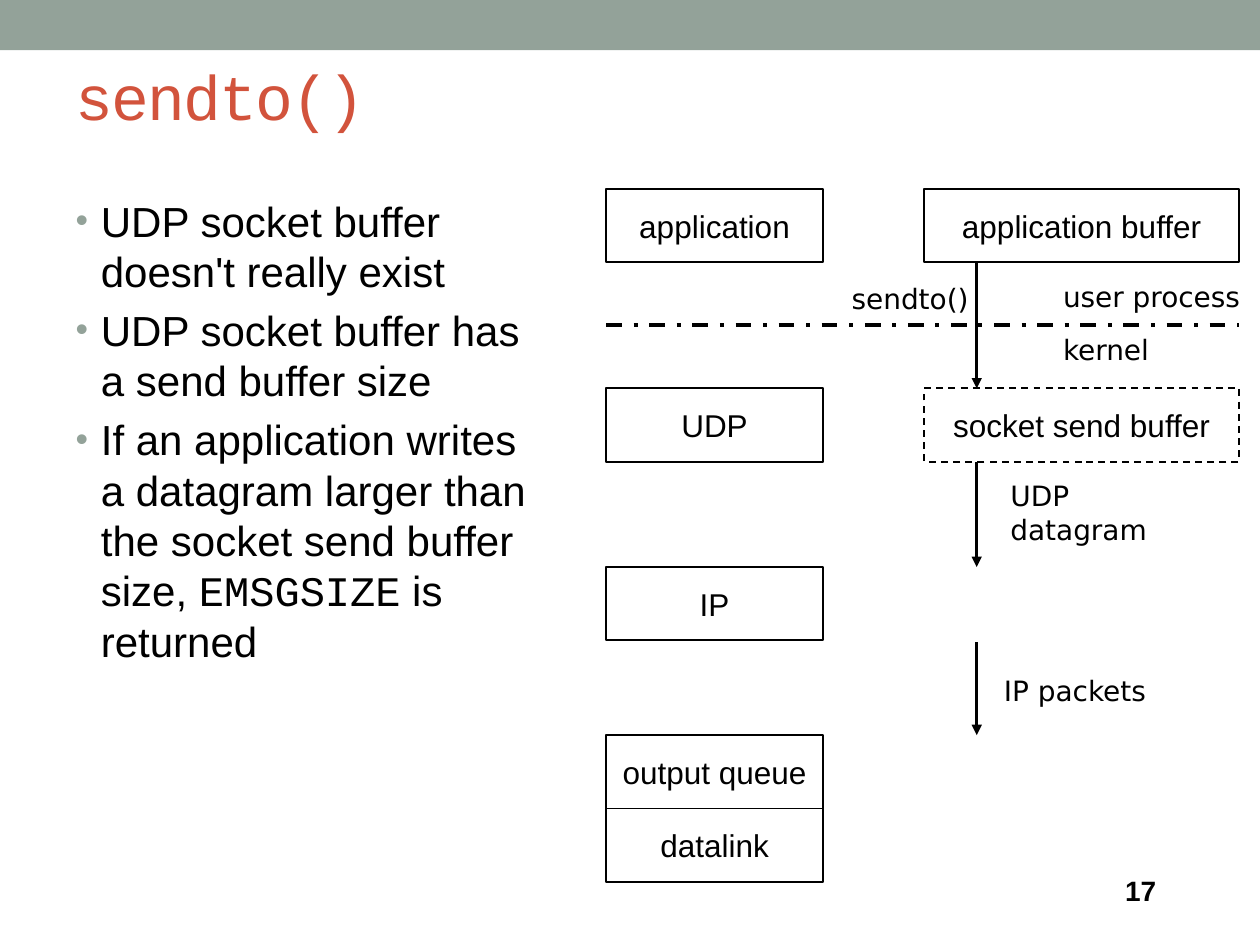
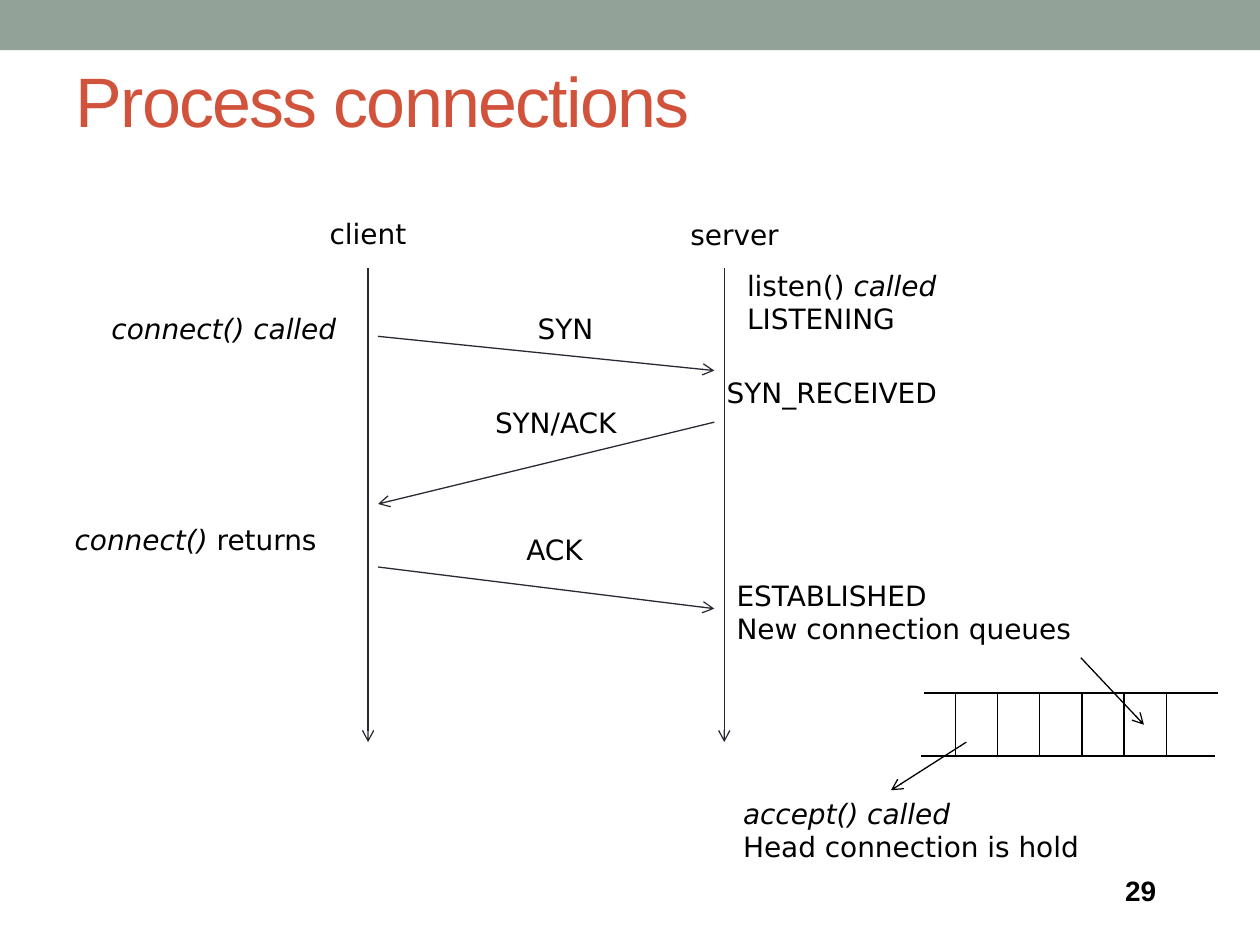
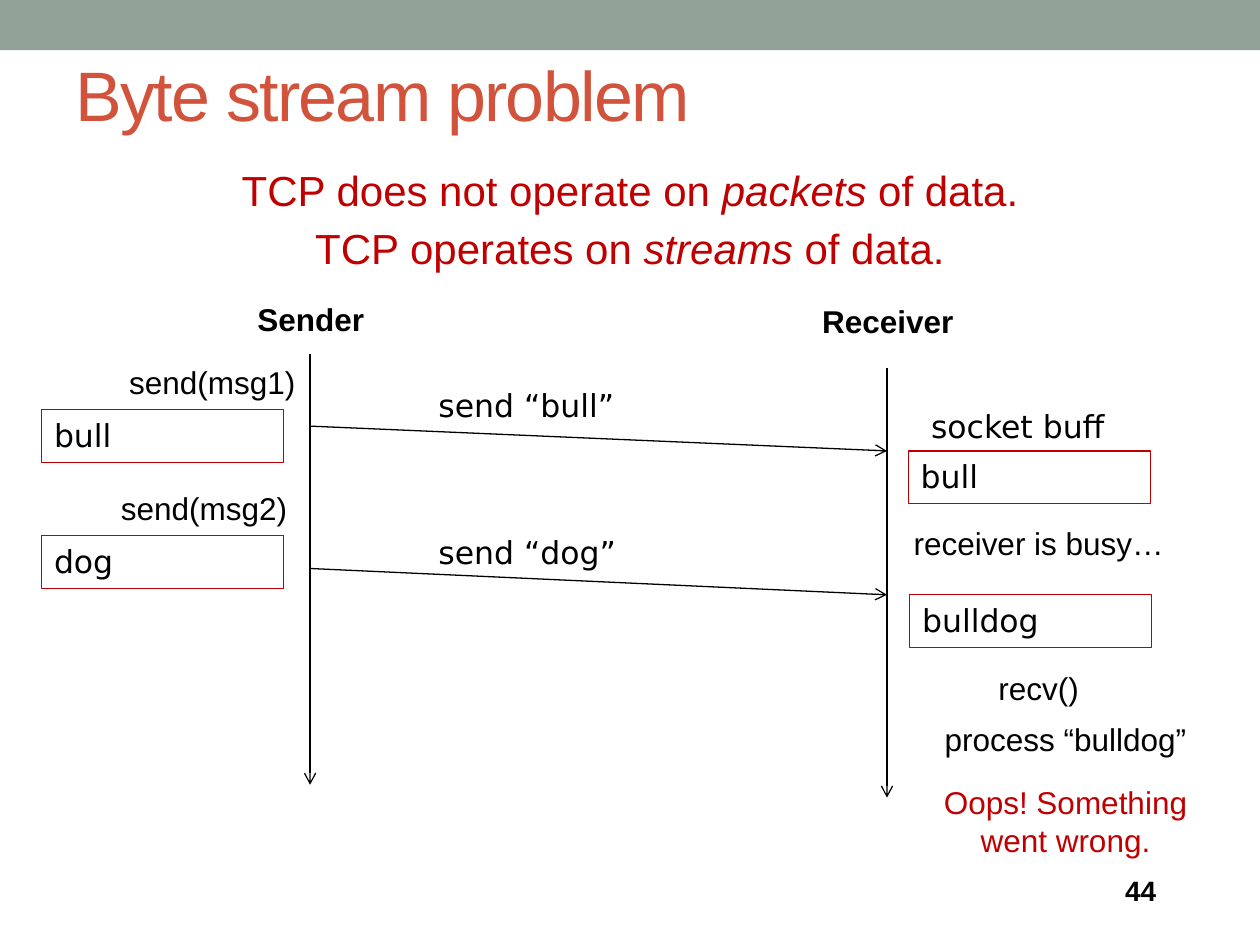
from lxml import etree
from pptx import Presentation
from pptx import util as u
from pptx.dml.color import RGBColor
from pptx.enum import dml, shapes, text
from pptx.oxml.ns import qn

COLORS = {"band": "93A299", "title": "D2533C", "black": "000000",
          "slate": "292934", "red": "C00000"}
SANS, MONO, LABEL = "Arial", "Courier New", "DejaVu Sans"
LEFT, CENTER = text.PP_ALIGN.LEFT, text.PP_ALIGN.CENTER
TOP, MIDDLE = text.MSO_ANCHOR.TOP, text.MSO_ANCHOR.MIDDLE
ONE_LINE, TWO_LINES = 0.94, 1.63


def write(sp, box, lines, size=16, font=LABEL, color="black", align=LEFT,
          anchor=TOP, bold=False, marked_font=None, gap=0):
    """Place sp at box (cm) and fill it; *marked* parts are italic or in marked_font."""
    sp.left, sp.top, sp.width, sp.height = map(u.Cm, box)
    tf = sp.text_frame
    tf.word_wrap = True
    tf.auto_size = text.MSO_AUTO_SIZE.NONE
    tf.vertical_anchor = anchor
    for i, line in enumerate(lines.split("\n")):
        p = tf.add_paragraph() if i else tf.paragraphs[0]
        p.alignment = align
        p.space_before = u.Pt(gap if i else 0)
        for j, part in enumerate(line.split("*")):
            if not part:
                continue
            marked = j % 2 == 1
            r = p.add_run()
            r.text = part
            r.font.size = u.Pt(size)
            r.font.name = marked_font if marked and marked_font else font
            r.font.bold = bold
            r.font.italic = marked and not marked_font
            r.font.color.rgb = RGBColor.from_string(COLORS[color])
    return tf


def add_line(s, x1, y1, x2, y2, width=0.75, color="black", head=None, dash=None):
    c = s.shapes.add_connector(shapes.MSO_CONNECTOR.STRAIGHT,
                               *map(u.Cm, (x1, y1, x2, y2)))
    c.line.color.rgb = RGBColor.from_string(COLORS[color])
    c.line.width = u.Pt(width)
    if dash:
        c.line.dash_style = dash
    spPr = c.element.spPr
    if head:
        etree.SubElement(spPr.find(qn("a:ln")), qn("a:tailEnd"), type=head)
    etree.SubElement(spPr, qn("a:effectLst"))


prs = Presentation()
prs.slide_width, prs.slide_height = u.Cm(25.4), u.Cm(19.05)

# Shared frame: band, title and page number
slides = []
for layout, title, top, height, size, font, number in [
    (1, "sendto()", 1.07, 1.7, 36, MONO, "17"),
    (5, "Process connections", 0.64, 2.74, 40, SANS, "29"),
    (1, "Byte stream problem", 0.84, 2.11, 40, SANS, "44"),
]:
    s = prs.slides.add_slide(prs.slide_layouts[layout])
    band = s.shapes.add_shape(shapes.MSO_SHAPE.RECTANGLE, 0, 0, prs.slide_width, u.Cm(1.01))
    band.shadow.inherit = False
    band.fill.solid()
    band.fill.fore_color.rgb = RGBColor.from_string(COLORS["band"])
    band.line.fill.background()
    tf = write(s.shapes.title, (1.27, top, 22.86, height), title, size, font,
               "title", anchor=MIDDLE)
    tf.paragraphs[0].runs[0].font._element.set("spc", "-100")
    write(s.shapes.add_textbox(0, 0, 0, 0), (22.43, 17.5, 2.11, 0.91), number,
          16, SANS, anchor=MIDDLE, bold=True)
    slides.append(s)
sendto, handshake, stream = slides

# sendto(): bullets
s = sendto
tf = write(s.placeholders[1], (1.27, 3.81, 9.96, 14.17),
           "UDP socket buffer doesn't really exist\n"
           "UDP socket buffer has a send buffer size\n"
           "If an application writes a datagram larger than the socket send buffer size, "
           "*EMSGSIZE* is returned",
           24, SANS, marked_font=MONO, gap=4.8)
for p in tf.paragraphs:
    pPr = p._p.get_or_add_pPr()
    pPr.set("marL", str(u.Cm(0.51)))
    pPr.set("indent", str(u.Cm(-0.51)))
    buClr = etree.SubElement(pPr, qn("a:buClr"))
    etree.SubElement(buClr, qn("a:srgbClr"), val=COLORS["band"])
    etree.SubElement(pPr, qn("a:buSzPct"), val="85000")
    etree.SubElement(pPr, qn("a:buFont"), typeface=SANS)
    etree.SubElement(pPr, qn("a:buChar"), char="•")

# sendto(): layers on the left, buffers on the right
layer_x, layer_w, buffer_x, buffer_w, box_h = 12.22, 4.37, 18.63, 6.35, 1.48
app_y, udp_y, ip_y, queue_y = 3.81, 7.83, 11.43, 14.82
for x, y, w, name, dash in [
    (layer_x, app_y, layer_w, "application", None),
    (layer_x, udp_y, layer_w, "UDP", None),
    (layer_x, ip_y, layer_w, "IP", None),
    (layer_x, queue_y + box_h, layer_w, "datalink", None),
    (layer_x, queue_y, layer_w, "output queue", None),
    (buffer_x, app_y, buffer_w, "application buffer", None),
    (buffer_x, udp_y, buffer_w, "socket send buffer", dml.MSO_LINE.DASH),
]:
    sp = s.shapes.add_shape(shapes.MSO_SHAPE.RECTANGLE, 0, 0, 0, 0)
    sp.shadow.inherit = False
    sp.fill.background()
    sp.line.color.rgb = RGBColor.from_string(COLORS["black"])
    sp.line.width = u.Pt(1)
    if dash:
        sp.line.dash_style = dash
    write(sp, (x, y, w, box_h), name, 18, SANS, align=CENTER, anchor=MIDDLE)

add_line(s, layer_x, 6.56, buffer_x + buffer_w, 6.56, 2.25, dash=dml.MSO_LINE.DASH_DOT)
for y1, y2 in [(app_y + box_h, udp_y), (udp_y + box_h, ip_y), (12.95, queue_y)]:
    add_line(s, 19.69, y1, 19.69, y2, 1.5, head="triangle")
for x, y, w, h, label in [
    (21.18, 5.51, 4.22, ONE_LINE, "user process"),
    (21.18, 6.58, 3.78, ONE_LINE, "kernel"),
    (16.92, 5.56, 3.2, ONE_LINE, "sendto()"),
    (20.12, 9.53, 4.22, TWO_LINES, "UDP datagram"),
    (19.99, 13.46, 4.22, ONE_LINE, "IP packets"),
]:
    write(s.shapes.add_textbox(0, 0, 0, 0), (x, y, w, h), label)

# Process connections: time lines and messages
s = handshake
for x in (14.6, 7.42):
    add_line(s, x, 5.41, x, 14.96, color="slate", head="arrow")
client_x, server_x = 7.62, 14.4
for x1, y1, x2, y2 in [
    (client_x, 6.78, server_x, 7.47),
    (server_x, 8.51, client_x, 10.16),
    (client_x, 11.43, server_x, 12.27),
]:
    add_line(s, x1, y1, x2, y2, color="slate", head="arrow")
for x, y, w, h, align, label in [
    (10.59, 6.15, 2.54, ONE_LINE, LEFT, "SYN"),
    (9.73, 8.05, 4.65, ONE_LINE, LEFT, "SYN/ACK"),
    (10.36, 10.62, 2.54, ONE_LINE, LEFT, "ACK"),
    (6.15, 4.24, 2.54, ONE_LINE, CENTER, "client"),
    (13.54, 4.27, 2.54, ONE_LINE, CENTER, "server"),
    (14.81, 5.28, 4.65, TWO_LINES, LEFT, "listen() *called*\nLISTENING"),
    (1.63, 6.15, 5.77, ONE_LINE, CENTER, "*connect() called*"),
    (0.48, 10.41, 6.93, ONE_LINE, CENTER, "*connect()* returns"),
    (14.4, 7.44, 6.35, ONE_LINE, LEFT, "SYN_RECEIVED"),
    (14.6, 11.53, 8.89, TWO_LINES, LEFT, "ESTABLISHED\nNew connection queues"),
    (14.73, 15.93, 8.89, TWO_LINES, LEFT, "*accept() called*\nHead connection is hold"),
]:
    write(s.shapes.add_textbox(0, 0, 0, 0), (x, y, w, h), label, align=align)

# Process connections: queue
queue_top, queue_bottom = 13.97, 15.24
add_line(s, 18.62, queue_top, 24.56, queue_top)
add_line(s, 18.57, queue_bottom, 24.49, queue_bottom)
for i in range(6):
    x = 19.26 + 0.85 * i
    add_line(s, x, queue_top, x, queue_bottom)
add_line(s, 21.79, 13.26, 23.06, 14.61, head="arrow")
add_line(s, 19.48, 14.96, 17.96, 15.93, head="arrow")

# Byte stream problem: statement
s = stream
tf = write(s.placeholders[1], (1.27, 3.18, 22.86, 2.54),
           "TCP does not operate on *packets* of data.\nTCP operates on *streams* of data.",
           24, SANS, "red", CENTER, gap=4.8)
for p in tf.paragraphs:
    pPr = p._p.get_or_add_pPr()
    pPr.set("marL", "0")
    pPr.set("indent", "0")
    etree.SubElement(pPr, qn("a:buNone"))

# Byte stream problem: time lines, messages and buffers
sender_x, receiver_x = 6.25, 17.88
for x1, y1, x2, y2 in [
    (sender_x, 7.14, sender_x, 15.82),
    (receiver_x, 7.42, receiver_x, 16.08),
    (sender_x, 8.59, receiver_x, 9.09),
    (sender_x, 11.46, receiver_x, 11.99),
]:
    add_line(s, x1, y1, x2, y2, head="arrow")
for x, y, content in [(18.31, 9.09, "bull"), (18.34, 11.99, "bulldog"),
                      (0.84, 8.26, "bull"), (0.84, 10.8, "dog")]:
    sp = s.shapes.add_shape(shapes.MSO_SHAPE.RECTANGLE, 0, 0, 0, 0)
    sp.shadow.inherit = False
    sp.fill.background()
    sp.line.color.rgb = RGBColor.from_string(COLORS["red"])
    sp.line.width = u.Pt(0.75)
    write(sp, (x, y, 4.88, 1.06), content, 18)
for x, y, w, label in [(8.59, 7.65, 6.99, "send “bull”"),
                       (8.59, 10.62, 6.99, "send “dog”"),
                       (18.52, 8.08, 4.65, "socket buff")]:
    write(s.shapes.add_textbox(0, 0, 0, 0), (x, y, w, 1.02), label, 18)
for x, y, w, h, label, color, bold in [
    (4.78, 5.92, 2.97, 1.02, "Sender", "black", True),
    (16.21, 5.97, 3.38, 1.02, "Receiver", "black", True),
    (18.08, 10.44, 5.72, 1.02, "receiver is busy…", "black", False),
    (18.08, 13.36, 5.72, 1.02, "recv()", "black", False),
    (2.11, 7.19, 4.34, 1.02, "send(msg1)", "black", False),
    (2.11, 9.73, 4.01, 1.02, "send(msg2)", "black", False),
    (18.62, 14.4, 5.72, 1.02, "process “bulldog”", "black", False),
    (18.62, 15.67, 5.72, 1.8, "Oops! Something went wrong.", "red", False),
]:
    write(s.shapes.add_textbox(0, 0, 0, 0), (x, y, w, h), label, 18, SANS, color,
          CENTER, bold=bold)

prs.save("out.pptx")
